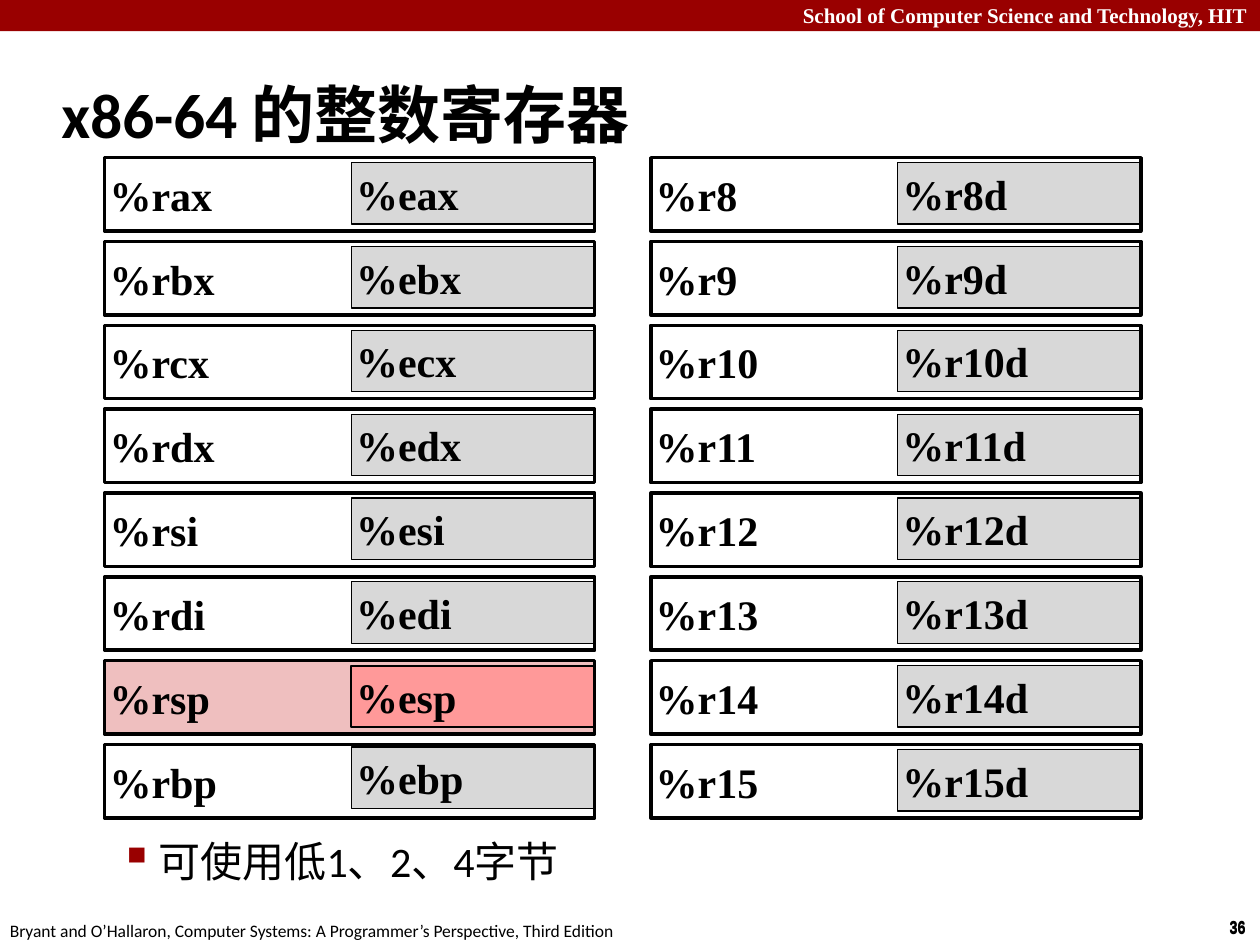
from dataclasses import dataclass

from lxml import etree
from pptx import Presentation
from pptx.dml.color import RGBColor
from pptx.enum.shapes import MSO_SHAPE
from pptx.enum.text import MSO_ANCHOR, PP_ALIGN
from pptx.oxml.ns import qn
from pptx.util import Cm, Pt

RECT = MSO_SHAPE.RECTANGLE
TOP, MIDDLE = MSO_ANCHOR.TOP, MSO_ANCHOR.MIDDLE
LEFT, RIGHT = PP_ALIGN.LEFT, PP_ALIGN.RIGHT


@dataclass(frozen=True)
class Theme:
    red: str = "990000"
    ink: str = "000000"
    white: str = "FFFFFF"
    gray: str = "D8D8D8"
    pink: str = "EFBFBF"
    rose: str = "FF9999"
    serif: str = "Times New Roman"
    sans: str = "Calibri"
    narrow: str = "Arial Narrow"
    title: int = 36
    body: int = 24
    head: int = 12
    foot: int = 10


class Deck:
    def __init__(self, theme):
        self.theme = theme
        self.file = Presentation()
        self.file.slide_width, self.file.slide_height = Cm(25.4), Cm(19.05)
        self.slide = self.file.slides.add_slide(self.file.slide_layouts[6])

    def words(self, frame, text, size, face, color, bold, align=LEFT):
        para = frame.paragraphs[0]
        para.text = text
        para.alignment = align
        font = para.font
        font.size, font.name, font.bold = Pt(size), face, bold
        font.color.rgb = RGBColor.from_string(color)
        return para

    def label(self, box, text, size, face, color=None, bold=False,
              align=LEFT, anchor=TOP, wrap=True):
        frame = self.slide.shapes.add_textbox(*map(Cm, box)).text_frame
        frame.word_wrap = wrap
        frame.vertical_anchor = anchor
        return self.words(frame, text, size, face,
                          color or self.theme.ink, bold, align)

    def rect(self, box, fill=None, line=0):
        shape = self.slide.shapes.add_shape(RECT, *map(Cm, box))
        shape.shadow.inherit = False
        if fill:
            shape.fill.solid()
            shape.fill.fore_color.rgb = RGBColor.from_string(fill)
        else:
            shape.fill.background()
        if line:
            shape.line.width = Pt(line)
            shape.line.color.rgb = RGBColor.from_string(self.theme.ink)
        else:
            shape.line.fill.background()
        return shape

    def cell(self, box, text, fill=None, line=2):
        frame = self.rect(box, fill, line).text_frame
        frame.margin_left = frame.margin_right = Cm(0.1)
        frame.margin_top = frame.margin_bottom = Cm(0.1)
        frame.vertical_anchor = MIDDLE
        self.words(frame, text, self.theme.body, self.theme.serif,
                   self.theme.ink, True)

    def bullet(self, box, text):
        para = self.label(box, text, self.theme.body, self.theme.sans)
        props = para._p.get_or_add_pPr()
        props.set("marL", str(Cm(2.06)))
        props.set("indent", str(-Cm(0.79)))
        before = etree.SubElement(props, qn("a:spcBef"))
        etree.SubElement(before, qn("a:spcPct"), val="20000")
        tint = etree.SubElement(props, qn("a:buClr"))
        etree.SubElement(tint, qn("a:srgbClr"), val=self.theme.red)
        etree.SubElement(props, qn("a:buSzPct"), val="110000")
        etree.SubElement(props, qn("a:buChar"), char="▪")
        # Schema order puts the default run font last
        props.append(props.find(qn("a:defRPr")))


def main():
    theme = Theme()
    deck = Deck(theme)

    # Header band and footer
    deck.rect((0, 0, 25.4, 0.63), theme.red)
    deck.label((0, -0.08, 25.4, 0.76),
               "School of Computer Science and Technology, HIT",
               theme.head, theme.serif, theme.white, True, RIGHT)
    for top in (18.36, 18.34):
        deck.label((24.54, top, 0.86, 0.69), "36", theme.foot,
                   theme.narrow, bold=True, wrap=False)
    deck.label((-0.05, 18.42, 12.9, 0.69),
               "Bryant and O’Hallaron, Computer Systems: "
               "A Programmer’s Perspective, Third Edition",
               theme.foot, theme.sans, wrap=False)

    # Title and note
    deck.label((0.99, 1.22, 24.41, 2.11), "x86-64 的整数寄存器",
               theme.title, theme.sans, bold=True, anchor=MIDDLE)
    deck.bullet((0.89, 16.71, 20.37, 1.07), "可使用低1、2、4字节")

    # Register grid: 64-bit frame with its low 32-bit half
    names = ["ax", "bx", "cx", "dx", "si", "di", "sp", "bp"]
    old = [(f"%r{name}", f"%e{name}") for name in names]
    new = [(f"%r{num}", f"%r{num}d") for num in range(8, 16)]
    for left, pairs in ((2.11, old), (13.12, new)):
        for row, (full, low) in enumerate(pairs):
            top = 3.18 + 1.69 * row
            stack = full == "%rsp"
            outer = (left, top, 9.88, 1.48)
            # The last old half sits slightly higher
            drop = 0.05 if low == "%ebp" else 0.1
            inner = (left + 4.97, top + drop, 4.9, 1.24)
            if stack:
                deck.cell(outer, full, theme.pink)
                deck.cell(inner, low, theme.rose, 1)
            else:
                deck.cell(inner, low, theme.gray, 0.75)
                deck.cell(outer, full)

    deck.file.save("out.pptx")


if __name__ == "__main__":
    main()
